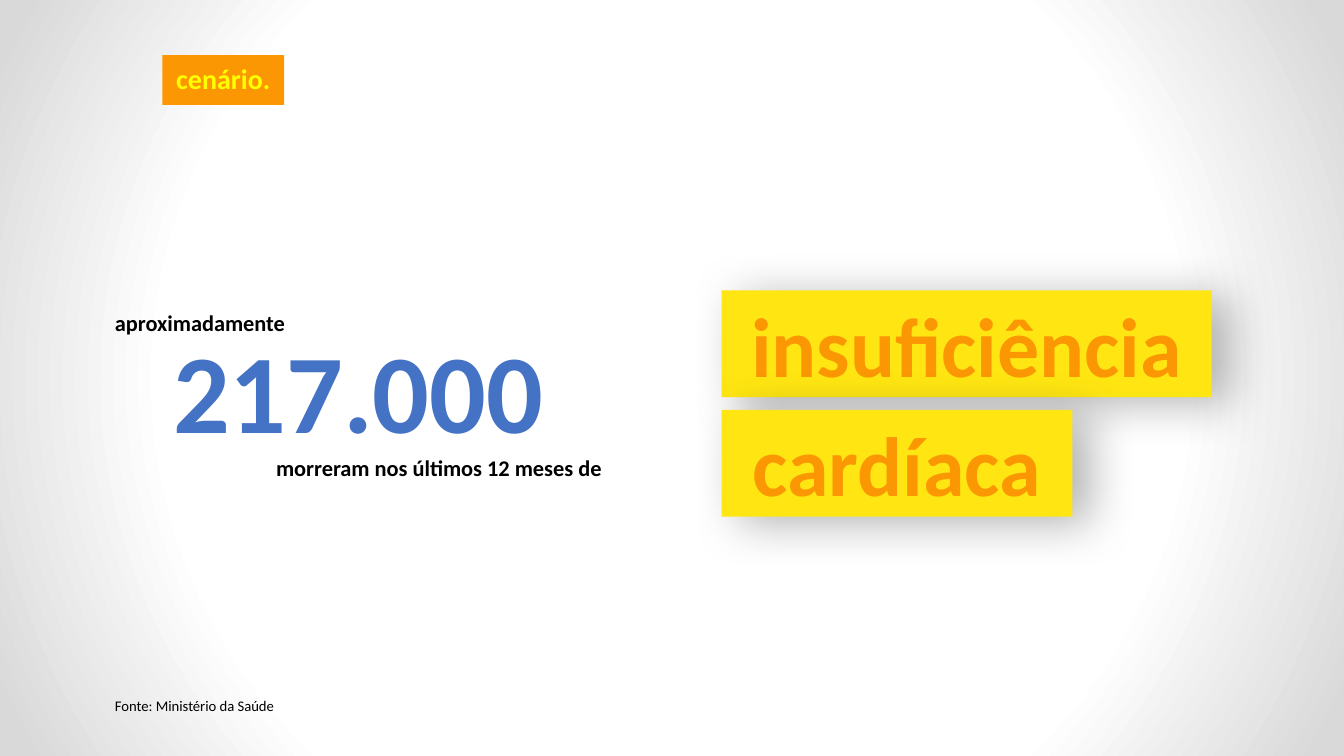
from dataclasses import dataclass
from lxml import etree
from pptx import Presentation
from pptx.dml.color import RGBColor
from pptx.enum import shapes, text
from pptx.oxml import parse_xml
from pptx.oxml.ns import nsdecls, qn
from pptx.util import Pt


@dataclass(frozen=True)
class Theme:
    font: str = "Calibri"
    black: str = "000000"
    white: str = "FFFFFF"
    edge: str = "D9D9D9"
    blue: str = "4472C4"
    orange: str = "FC9704"
    gold: str = "FFE612"
    lemon: str = "FFFF00"
    huge: float = 80
    big: float = 60
    tag: float = 20
    body: float = 16
    note: float = 10.5


T = Theme()
A = text.PP_ALIGN


def backdrop(slide):
    stops = ((0, T.white), (66, T.white), (97, T.edge))
    marks = "".join(
        f'<a:gs pos="{pos * 1000}"><a:srgbClr val="{tone}"/></a:gs>'
        for pos, tone in stops)
    slide.element.cSld.insert(0, parse_xml(
        f'<p:bg {nsdecls("p", "a")}><p:bgPr><a:gradFill><a:gsLst>{marks}</a:gsLst>'
        '<a:path path="circle"><a:fillToRect l="50000" t="50000" r="50000" b="50000"/>'
        '</a:path></a:gradFill><a:effectLst/></p:bgPr></p:bg>'))


def write(shape, lines, space=0.9):
    frame = shape.text_frame
    frame.word_wrap = True
    frame.vertical_anchor = text.MSO_ANCHOR.MIDDLE
    for i, (words, size, tone, bold, align) in enumerate(lines):
        para = frame.paragraphs[0] if i == 0 else frame.add_paragraph()
        para.alignment = align
        para.line_spacing = space
        run = para.add_run()
        run.text = words
        font = run.font
        font.name, font.size, font.bold = T.font, Pt(size), bold
        font.color.rgb = RGBColor.from_string(tone)


def place(box):
    return [Pt(side) for side in box]


def block(slide, box, fill):
    shape = slide.shapes.add_shape(shapes.MSO_SHAPE.RECTANGLE, *place(box))
    shape.shadow.inherit = False
    shape.fill.solid()
    shape.fill.fore_color.rgb = RGBColor.from_string(fill)
    shape.line.fill.background()
    return shape


def shade(shape):
    effects = shape._element.spPr.find(qn("a:effectLst"))
    outer = etree.SubElement(
        effects, qn("a:outerShdw"), blurRad=str(Pt(34)), dist=str(Pt(13)),
        dir=str(20 * 60000), algn="ctr", rotWithShape="0")
    tone = etree.SubElement(outer, qn("a:srgbClr"), val=T.black)
    etree.SubElement(tone, qn("a:alpha"), val="30000")


def cause(slide, box):
    left, top, width, height = box
    gap = 9
    tall = (height - gap) / 2
    for row, (word, wide) in enumerate((("insuficiência", width), ("cardíaca", 250.5))):
        bar = block(slide, (left, top + row * (tall + gap), wide, tall), T.gold)
        shade(bar)
        write(bar, [(word, T.big, T.orange, True, A.CENTER)], 1.0)


def figure(slide, box):
    write(slide.shapes.add_textbox(*place(box)), [
        ("aproximadamente", T.body, T.black, True, A.LEFT),
        ("217.000", T.huge, T.blue, True, A.CENTER),
        ("morreram nos últimos 12 meses de", T.body, T.black, True, A.RIGHT)])


def source(slide, box):
    write(slide.shapes.add_textbox(*place(box)), [
        ("Fonte: Ministério da Saúde", T.note, T.black, False, A.LEFT)])


def title(slide, box):
    write(block(slide, box, T.orange), [
        ("cenário.", T.tag, T.lemon, True, A.CENTER)])


deck = Presentation()
deck.slide_width, deck.slide_height = Pt(960), Pt(540)
slide = deck.slides.add_slide(deck.slide_layouts[6])
backdrop(slide)
cause(slide, (515.5, 207.5, 350, 161.5))
figure(slide, (75, 175.5, 362, 216))
source(slide, (75, 495, 154, 19.5))
title(slide, (116, 39.5, 87, 35.5))
deck.save("out.pptx")
